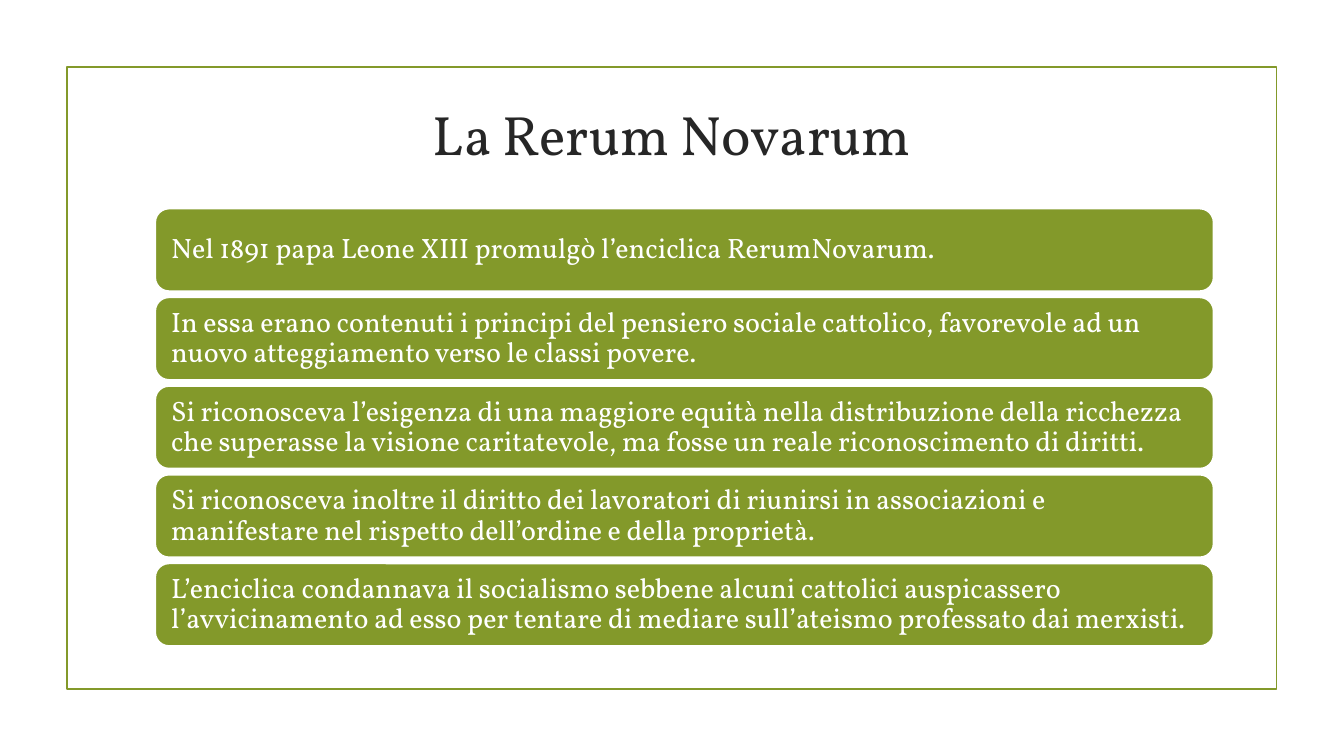
from pptx import Presentation
from pptx.dml.color import RGBColor
from pptx.enum.shapes import MSO_SHAPE
from pptx.enum.text import MSO_ANCHOR, PP_ALIGN
from pptx.util import Pt

COLORS = {"green": "83992A", "white": "FFFFFF", "title": "262626"}
FONT = "Vollkorn"
LINE_WIDTH = 1.25

CARD_LEFT, CARD_TOP = 110.9, 149
CARD_WIDTH, CARD_HEIGHT = 756, 59
CARD_PITCH = 63.36
CARD_INSET = 8.6

POINTS = [
    "Nel 1891 papa Leone XIII promulgò l’enciclica RerumNovarum.",
    "In essa erano contenuti i principi del pensiero sociale cattolico, "
    "favorevole ad un nuovo atteggiamento verso le classi povere.",
    "Si riconosceva l’esigenza di una maggiore equità nella distribuzione della "
    "ricchezza che superasse la visione caritatevole, ma fosse un reale "
    "riconoscimento di diritti.",
    "Si riconosceva inoltre il diritto dei lavoratori di riunirsi in associazioni "
    "e manifestare nel rispetto dell’ordine e della proprietà.",
    "L’enciclica condannava il socialismo sebbene alcuni cattolici auspicassero "
    "l’avvicinamento ad esso per tentare di mediare sull’ateismo professato dai "
    "merxisti.",
]


def color(name):
    return RGBColor.from_string(COLORS[name])


def add_box(slide, kind, left, top, width, height, line, fill=None):
    shape = slide.shapes.add_shape(kind, Pt(left), Pt(top), Pt(width), Pt(height))
    shape.shadow.inherit = False
    shape.line.color.rgb = color(line)
    shape.line.width = Pt(LINE_WIDTH)
    if fill:
        shape.fill.solid()
        shape.fill.fore_color.rgb = color(fill)
    else:
        shape.fill.background()
    return shape


def write_text(shape, text, size, color_name, alignment, inset):
    frame = shape.text_frame
    frame.word_wrap = True
    frame.vertical_anchor = MSO_ANCHOR.MIDDLE
    frame.margin_left = frame.margin_right = Pt(inset)
    frame.margin_top = frame.margin_bottom = Pt(inset)
    paragraph = frame.paragraphs[0]
    paragraph.text = text
    paragraph.alignment = alignment
    paragraph.line_spacing = 0.9
    paragraph.font.name = FONT
    paragraph.font.size = Pt(size)
    paragraph.font.color.rgb = color(color_name)


def add_title(slide, text):
    title = slide.shapes.add_textbox(Pt(102), Pt(77), Pt(756), Pt(42))
    write_text(title, text, 39.6, "title", PP_ALIGN.CENTER, 0)


def add_card(slide, index, text):
    card = add_box(slide, MSO_SHAPE.ROUNDED_RECTANGLE,
                   CARD_LEFT, CARD_TOP + index * CARD_PITCH,
                   CARD_WIDTH, CARD_HEIGHT, "white", "green")
    write_text(card, text, 20, "white", PP_ALIGN.LEFT, CARD_INSET)


def main():
    presentation = Presentation()
    presentation.slide_width, presentation.slide_height = Pt(960), Pt(540)
    slide = presentation.slides.add_slide(presentation.slide_layouts[6])

    # Page frame and title
    add_box(slide, MSO_SHAPE.RECTANGLE, 47.8, 48, 864, 444, "green")
    add_title(slide, "La Rerum Novarum")

    # Stack of cards
    for index, text in enumerate(POINTS):
        add_card(slide, index, text)

    presentation.save("out.pptx")


main()
